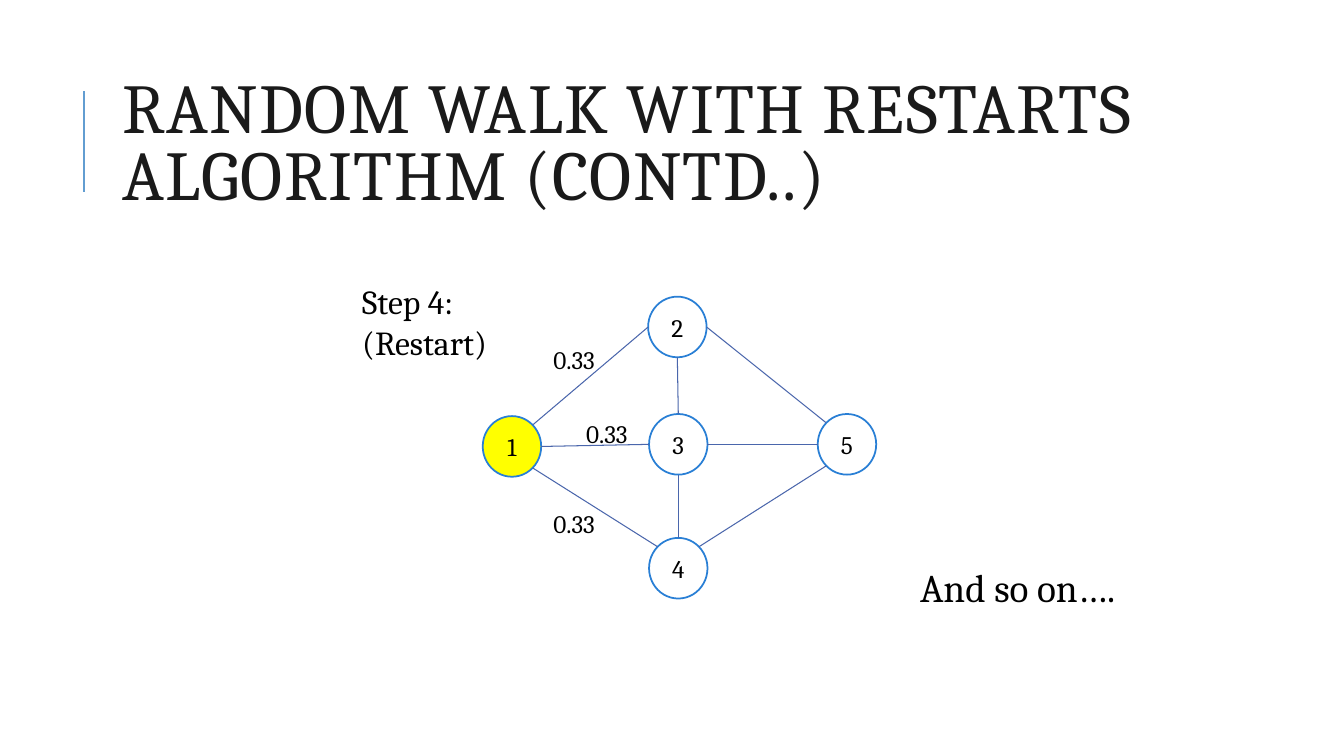
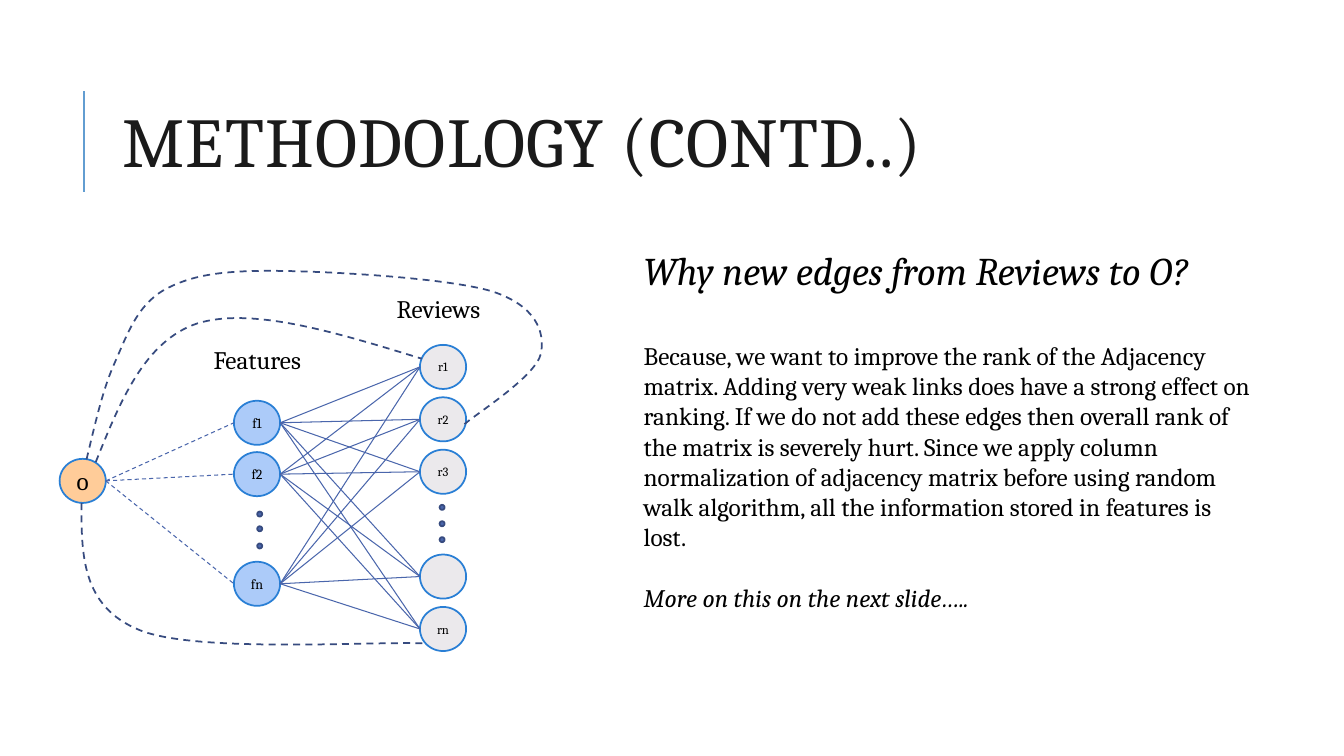
from itertools import product
from typing import NamedTuple

from lxml.etree import SubElement
from pptx import Presentation
from pptx.dml.color import RGBColor
from pptx.enum.dml import MSO_LINE
from pptx.enum.shapes import MSO_CONNECTOR, MSO_SHAPE
from pptx.enum.text import MSO_ANCHOR, MSO_AUTO_SIZE, PP_ALIGN
from pptx.oxml.ns import qn
from pptx.util import Emu, Pt

# The grid has 160 columns and 90 rows of square cells.
CELL = 76200
COLUMNS, ROWS = 160, 90
FONT = "Cambria"
COLOURS = {
    "title": "1A1A1A",
    "text": "000000",
    "rule": "629DD1",
    "outline": "297FD5",
    "edge": "4A66AC",
    "curve": "374B7F",
    "plain": "FFFFFF",
    "visited": "FFFF00",
    "feature": "ACCBF9",
    "review": "EBE9EC",
    "opinion": "FFCC99",
}
DIAGONAL = 0.71
SITES = {
    "top": (0, -1),
    "bottom": (0, 1),
    "left": (-1, 0),
    "right": (1, 0),
    "top left": (-DIAGONAL, -DIAGONAL),
    "top right": (DIAGONAL, -DIAGONAL),
    "bottom left": (-DIAGONAL, DIAGONAL),
    "bottom right": (DIAGONAL, DIAGONAL),
}


class Node(NamedTuple):
    x: float
    y: float
    width: float
    height: float

    def site(self, name):
        """Return the point of the outline that lies in the named direction."""
        across, down = SITES[name]
        return self.x + across * self.width / 2, self.y + down * self.height / 2


def cells(*values):
    return [Emu(round(value * CELL)) for value in values]


def colour(name):
    return RGBColor.from_string(COLOURS[name])


class Deck:
    """Holds the shared style and the slide being drawn."""

    def __init__(self):
        self.presentation = Presentation()
        self.presentation.slide_width, self.presentation.slide_height = cells(COLUMNS, ROWS)
        self.slide = None

    def new_slide(self, title):
        self.slide = self.presentation.slides.add_slide(self.presentation.slide_layouts[6])
        self.line((10, 22.8), (10, 10.8), "rule", 1.5)
        frame = self.text_box((13.4, 7.65, 127.6, 19.7), title, 50, "title")
        frame.auto_size = MSO_AUTO_SIZE.NONE
        frame.vertical_anchor = MSO_ANCHOR.MIDDLE
        paragraph = frame.paragraphs[0]
        paragraph.line_spacing = 0.8
        paragraph.runs[0].font._element.set("spc", "100")

    def style(self, paragraph, size, colour_name="text", italic=False):
        font = paragraph.font
        font.name, font.size, font.italic = FONT, Pt(size), italic
        font.color.rgb = colour(colour_name)

    def text_frame(self, box, wrap=True):
        frame = self.slide.shapes.add_textbox(*cells(*box)).text_frame
        frame.word_wrap = wrap
        frame.auto_size = MSO_AUTO_SIZE.SHAPE_TO_FIT_TEXT
        return frame

    def text_box(self, box, text, size, colour_name="text", wrap=True):
        frame = self.text_frame(box, wrap)
        frame.text = text
        self.style(frame.paragraphs[0], size, colour_name)
        return frame

    def label(self, box, text, size=18):
        self.text_box(box, text, size, wrap=False)

    def passage(self, box, paragraphs):
        """Fill one box with (text, size, italic, space after) paragraphs."""
        frame = self.text_frame(box)
        for index, (text, size, italic, gap) in enumerate(paragraphs):
            paragraph = frame.add_paragraph() if index else frame.paragraphs[0]
            paragraph.text = text
            paragraph.space_after = Pt(gap)
            self.style(paragraph, size, italic=italic)

    def ellipse(self, node, fill, outline="outline"):
        left, top = node.x - node.width / 2, node.y - node.height / 2
        shape = self.slide.shapes.add_shape(
            MSO_SHAPE.OVAL, *cells(left, top, node.width, node.height))
        shape.shadow.inherit = False
        shape.fill.solid()
        shape.fill.fore_color.rgb = colour(fill)
        shape.line.color.rgb = colour(outline)
        shape.line.width = Pt(1.25)
        return shape

    def node(self, centre, size, fill, text, text_size):
        node = Node(*centre, *size)
        frame = self.ellipse(node, fill).text_frame
        if text:
            frame.margin_left = frame.margin_right = 0
            frame.margin_top = frame.margin_bottom = 0
            frame.word_wrap = False
            frame.vertical_anchor = MSO_ANCHOR.MIDDLE
            frame.text = text
            paragraph = frame.paragraphs[0]
            paragraph.alignment = PP_ALIGN.CENTER
            self.style(paragraph, text_size)
        return node

    def dots(self, x, rows):
        for y in rows:
            self.ellipse(Node(x, y, 0.6, 0.6), "edge", "curve")

    def line(self, start, end, colour_name="edge", width=0.75, dashed=False):
        connector = self.slide.shapes.add_connector(
            MSO_CONNECTOR.STRAIGHT, *cells(*start, *end))
        SubElement(connector._element.spPr, qn("a:effectLst"))
        connector.line.color.rgb = colour(colour_name)
        connector.line.width = Pt(width)
        if dashed:
            connector.line.dash_style = MSO_LINE.DASH

    def dashed_curve(self, start, *curves):
        """Draw a chain of cubic curves, each given as two controls and an end."""
        builder = self.slide.shapes.build_freeform(*cells(*start), scale=1.0)
        builder.add_line_segments([cells(*end) for _, _, end in curves], close=False)
        shape = builder.convert_to_shape()
        segments = list(shape._element.iter(qn("a:lnTo")))
        for segment, (first, second, _) in zip(segments, curves):
            segment.tag = qn("a:cubicBezTo")
            for position, control in enumerate((first, second)):
                x, y = cells(*control)
                point = SubElement(segment, qn("a:pt"))
                point.set("x", str(x - shape.left))
                point.set("y", str(y - shape.top))
                segment.insert(position, point)
        shape.shadow.inherit = False
        shape.fill.background()
        shape.line.color.rgb = colour("curve")
        shape.line.width = Pt(1.25)
        shape.line.dash_style = MSO_LINE.DASH


def random_walk_slide(deck):
    deck.new_slide("RANDOM WALK WITH RESTARTS ALGORITHM (CONTD..)")
    centres = {
        1: (60.95, 53.15),
        2: (80.64, 38.93),
        3: (80.75, 52.9),
        4: (80.75, 67.65),
        5: (100.83, 52.9),
    }
    nodes = {
        number: deck.node(centre, (6.96, 7.22), "visited" if number == 1 else "plain",
                          str(number), 18)
        for number, centre in centres.items()
    }
    edges = [
        (1, "top right", 2, "left"),
        (1, "right", 3, "left"),
        (1, "bottom right", 4, "top left"),
        (2, "bottom", 3, "top"),
        (4, "top", 3, "bottom"),
        (3, "right", 5, "left"),
        (2, "right", 5, "top left"),
        (4, "top right", 5, "bottom left"),
    ]
    for first, first_site, second, second_site in edges:
        deck.line(nodes[first].site(first_site), nodes[second].site(second_site))
    for left, top in ((64.7, 40.4), (68.6, 49.25), (64.7, 59.9)):
        deck.label((left, top, 8.2, 4.8), "0.33")
    deck.text_box((41.95, 32.9, 19.4, 10.9), "Step 4: (Restart)", 24)
    deck.label((108.35, 66.5, 26.9, 6.8), "And so on….", 28)


def methodology_slide(deck):
    deck.new_slide("METHODOLOGY (CONTD..)")
    size = (5.5, 5.25)
    features = [
        deck.node((30.6, y), size, "feature", text, 10)
        for text, y in (("f1", 50.33), ("f2", 56.45), ("fn", 69.5))
    ]
    reviews = [
        deck.node((52.75, 43.68 + 6.24 * row), size, "review", text, 9)
        for row, text in ((0, "r1"), (1, "r2"), (2, "r3"), (4, ""), (5, "rn"))
    ]
    opinion = deck.node((9.85, 57.25), size, "opinion", "o", 18)
    deck.dots(30.92, (61.2, 62.95, 65))
    deck.dots(52.63, (60.4, 62.35, 64.25))
    deck.label((24.25, 40.4, 13.6, 4.8), "Features")
    deck.label((46.05, 34.3, 13.2, 4.8), "Reviews")

    for feature, review in product(features, reviews):
        deck.line(feature.site("right"), review.site("left"))
    for feature in features:
        deck.line(opinion.site("right"), feature.site("left"), dashed=True)

    deck.dashed_curve(
        (11.4, 55),
        ((14.3, 47.8), (17.2, 40.6), (23.5, 38.5)),
        ((30, 36.5), (40.1, 39.6), (50.2, 42.7)))
    deck.dashed_curve(
        (10.3, 54.7),
        ((11.3, 50.6), (12.2, 46.4), (13.7, 43.1)),
        ((15.2, 39.7), (16.3, 36.5), (19.4, 34.6)),
        ((22.6, 32.8), (26.2, 32.2), (32.8, 32.25)),
        ((39.2, 32.3), (53.3, 33.1), (58.6, 34.7)),
        ((63.8, 36.4), (64.9, 39.5), (64.4, 42.1)),
        ((63.8, 44.8), (56.8, 49.2), (55.3, 50.5)))
    deck.dashed_curve(
        (9.7, 59.9),
        ((9.7, 66), (9.7, 72.2), (16.6, 75)),
        ((23.4, 77.8), (45, 76.3), (50.5, 76.6)))

    deck.passage((75.45, 28.7, 75, 45.2), [
        ("Why new edges from Reviews to O?", 28, True, 33.6),
        ("Because, we want to improve the rank of the Adjacency matrix. Adding very weak "
         "links does have a strong effect on ranking. If we do not add these edges then "
         "overall rank of the matrix is severely hurt. Since we apply column normalization "
         "of adjacency matrix before using random walk algorithm, all the information "
         "stored in features is lost.", 18, False, 22),
        ("More on this on the next slide…..", 18, True, 0),
    ])


def main():
    deck = Deck()
    random_walk_slide(deck)
    methodology_slide(deck)
    deck.presentation.save("out.pptx")


if __name__ == "__main__":
    main()
